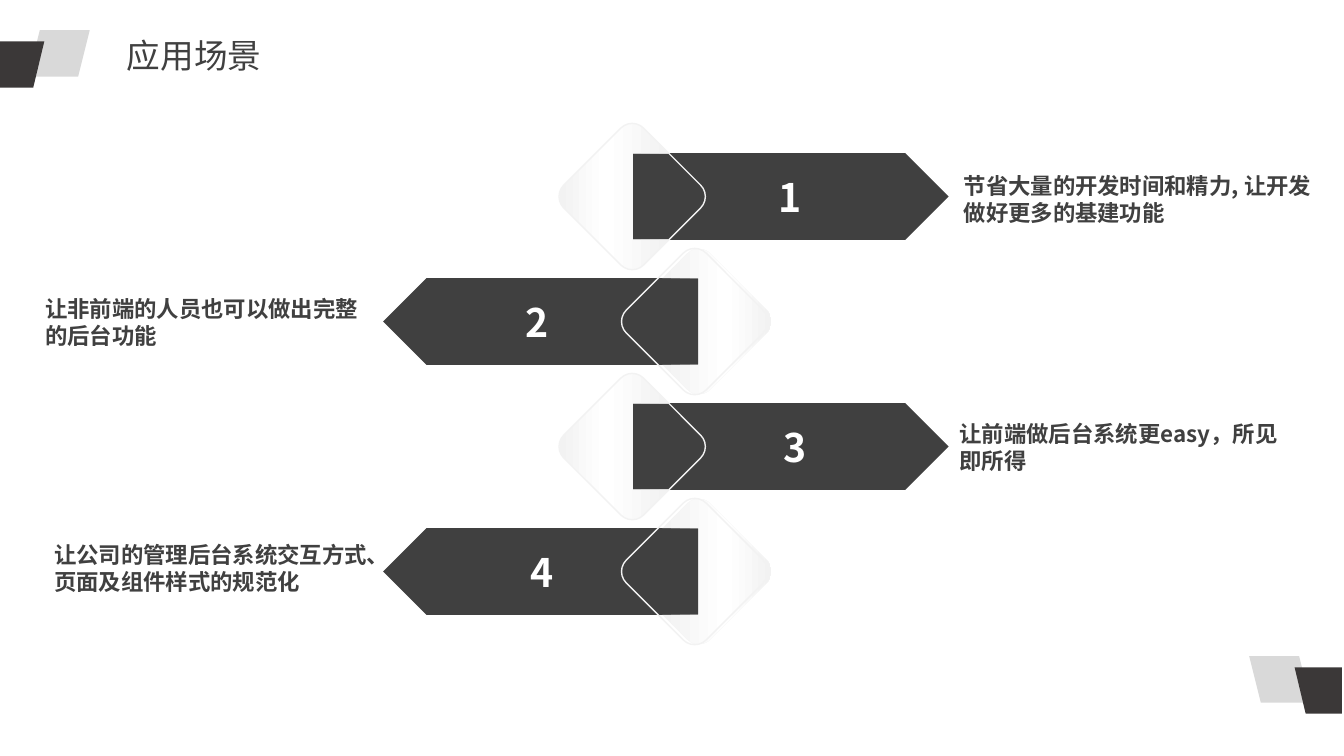
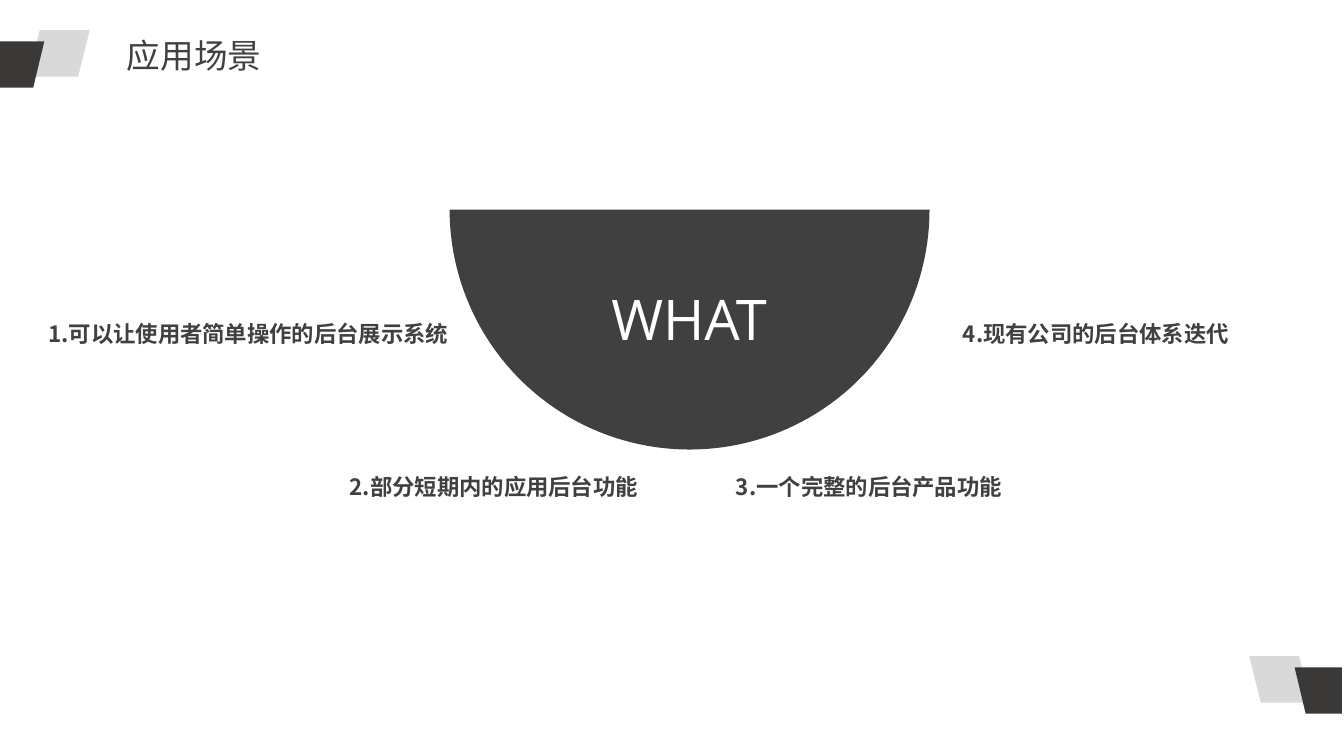
from copy import deepcopy
from dataclasses import dataclass
from math import cos, radians, sin

from pptx import Presentation
from pptx.dml.color import RGBColor
from pptx.enum.shapes import MSO_SHAPE
from pptx.enum.text import MSO_ANCHOR, PP_ALIGN
from pptx.oxml.ns import qn
from pptx.util import Inches, Pt


@dataclass(frozen=True)
class Theme:
    dark: str = "404040"
    deep: str = "3B3838"
    grey: str = "D9D9D9"
    pale: str = "F2F2F2"
    white: str = "FFFFFF"
    cjk: str = "Noto Sans CJK SC"
    latin: str = "Open Sans"
    body: int = 16
    title: int = 24
    digit: int = 28
    hero: int = 40


THEME = Theme()


def rgb(code):
    return RGBColor.from_string(code)


def paint(shape, color):
    shape.shadow.inherit = False
    shape.fill.solid()
    shape.fill.fore_color.rgb = rgb(color)
    shape.line.fill.background()


def preset(slide, kind, box, color, flip=False):
    shape = slide.shapes.add_shape(kind, *map(Inches, box))
    paint(shape, color)
    if flip:
        shape._element.spPr.xfrm.set("flipH", "1")
    return shape


def outline(slide, points, color):
    spots = [(Inches(x), Inches(y)) for x, y in points]
    pen = slide.shapes.build_freeform(*spots[0], scale=1.0)
    pen.add_line_segments(spots[1:], close=True)
    shape = pen.convert_to_shape()
    paint(shape, color)
    return shape


def arc(x, y, radius, start, end, steps):
    turns = [radians(start + (end - start) * i / steps) for i in range(steps + 1)]
    return [(x + radius * cos(a), y + radius * sin(a)) for a in turns]


def write(slide, box, words, size, color=THEME.dark, bold=False, font=THEME.cjk,
          align=PP_ALIGN.LEFT, middle=False, inset=True, pitch=None):
    frame = slide.shapes.add_textbox(*map(Inches, box)).text_frame
    frame.word_wrap = True
    if middle:
        frame.vertical_anchor = MSO_ANCHOR.MIDDLE
    if not inset:
        frame.margin_left = frame.margin_right = 0
        frame.margin_top = frame.margin_bottom = 0
    para = frame.paragraphs[0]
    para.alignment = align
    if pitch:
        para.line_spacing = pitch
    run = para.add_run()
    run.text = words
    run.font.size = Pt(size)
    run.font.bold = bold
    run.font.color.rgb = rgb(color)
    run.font.name = font
    props = run._r.get_or_add_rPr()
    east = props.makeelement(qn("a:ea"), {"typeface": font})
    props.find(qn("a:latin")).addnext(east)


def chips(slide, edge, end, top, side):
    wide, high = 0.61, 0.46
    near = edge + side * 0.28
    left = near if side > 0 else near - wide
    preset(slide, MSO_SHAPE.PARALLELOGRAM, (left, top, wide, high),
           THEME.grey, side < 0)
    upper, lower = top + 0.11, top + 0.11 + high
    outline(slide, [(end, upper), (edge + side * 0.44, upper),
                    (edge + side * 0.33, lower), (end, lower)], THEME.deep)


def base(deck, title):
    slide = deck.slides.add_slide(deck.slide_layouts[6])
    chips(slide, 0, 0, 0.3, 1)
    chips(slide, 13.28, 13.31, 6.51, -1)
    write(slide, (1.16, 0.3, 2.43, 0.5), title, THEME.title,
          align=PP_ALIGN.JUSTIFY)
    return slide


def gem(slide, x, y, side):
    turn, bend = 0.16, 0.56
    tip, half = 0.36, 0.43
    curve = [(tip, -half)]
    for dx, dy, start in ((0, -bend, -45), (-bend, 0, -135), (0, bend, -225)):
        curve += arc(dx, dy, turn, start, start - 90, 12)
    curve += [(tip, half), (0, half), (0, -half)]
    shape = outline(slide, [(x + side * dx, y + dy) for dx, dy in curve],
                    THEME.pale)
    shape.fill.gradient()
    shape.fill.gradient_angle = 0
    stops = shape._element.spPr.find(".//" + qn("a:gsLst"))
    stops.insert(1, deepcopy(stops[0]))
    peak = 0.42 if side > 0 else 0.58
    tones = ((0, THEME.pale), (peak, THEME.white), (1, THEME.pale))
    for stop, (place, color) in zip(shape.fill.gradient_stops, tones):
        stop.position = place
        stop.color.rgb = rgb(color)

    span = 1.12
    hub = x if side > 0 else x - 0.04
    ring = preset(slide, MSO_SHAPE.ROUNDED_RECTANGLE,
                  (hub - span / 2, y - span / 2, span, span), THEME.pale)
    ring.adjustments[0] = turn / span
    ring.rotation = 45
    ring.fill.background()
    ring.line.color.rgb = rgb(THEME.pale)
    ring.line.width = Pt(1)


def band(slide, y, side, digit, mark, note, words):
    wide, high = 3.13, 0.86
    left = 6.28 if side > 0 else 3.8
    preset(slide, MSO_SHAPE.PENTAGON, (left, y - high / 2, wide, high),
           THEME.dark, side < 0)
    gem(slide, 6.27 if side > 0 else 6.93, y, side)
    write(slide, (mark, y - 0.23, 0.97, 0.47), digit, THEME.digit, THEME.white,
          True, align=PP_ALIGN.CENTER, middle=True, inset=False)
    left, top, wide = note
    write(slide, (left, top, wide, 0.64), words, THEME.body, bold=True)


def uses(deck):
    slide = base(deck, "应用场景")
    rows = (
        (7.35, (9.46, 1.66, 3.71), "节省大量的开发时间和精力, 让开发做好更多的基建功能"),
        (4.84, (0.35, 2.88, 3.49), "让非前端的人员也可以做出完整的后台功能"),
        (7.4, (9.42, 4.12, 3.54), "让前端做后台系统更easy，所见即所得"),
        (4.89, (0.44, 5.32, 3.33), "让公司的管理后台系统交互方式、页面及组件样式的规范化"),
    )
    for i, (mark, note, words) in enumerate(rows):
        side = -1 if i % 2 else 1
        band(slide, 1.95 + 1.24 * i, side, str(i + 1), mark, note, words)


def bowl(slide, x, y, radius):
    outline(slide, arc(x, y, radius, 0, 180, 90), THEME.dark)
    write(slide, (x - 1.53, y + 0.37, 3.05, 1.41), "WHAT", THEME.hero,
          THEME.white, font=THEME.latin, align=PP_ALIGN.CENTER, middle=True,
          pitch=Pt(48))


def what(deck):
    slide = base(deck, "应用场景")
    bowl(slide, 6.84, 2.08, 2.38)
    notes = (
        (0.44, 3.1, 4.01, PP_ALIGN.RIGHT, "1.可以让使用者简单操作的后台展示系统"),
        (3.05, 4.62, 3.28, PP_ALIGN.RIGHT, "2.部分短期内的应用后台功能"),
        (7.3, 4.62, 2.74, PP_ALIGN.LEFT, "3.一个完整的后台产品功能"),
        (9.55, 3.1, 3.45, PP_ALIGN.LEFT, "4.现有公司的后台体系迭代"),
    )
    for left, top, wide, align, words in notes:
        write(slide, (left, top, wide, 0.45), words, THEME.body, bold=True,
              align=align, middle=True, inset=False, pitch=0.9)


def main():
    deck = Presentation()
    deck.slide_width = Inches(13.33)
    deck.slide_height = Inches(7.5)
    uses(deck)
    what(deck)
    deck.save("out.pptx")


if __name__ == "__main__":
    main()
